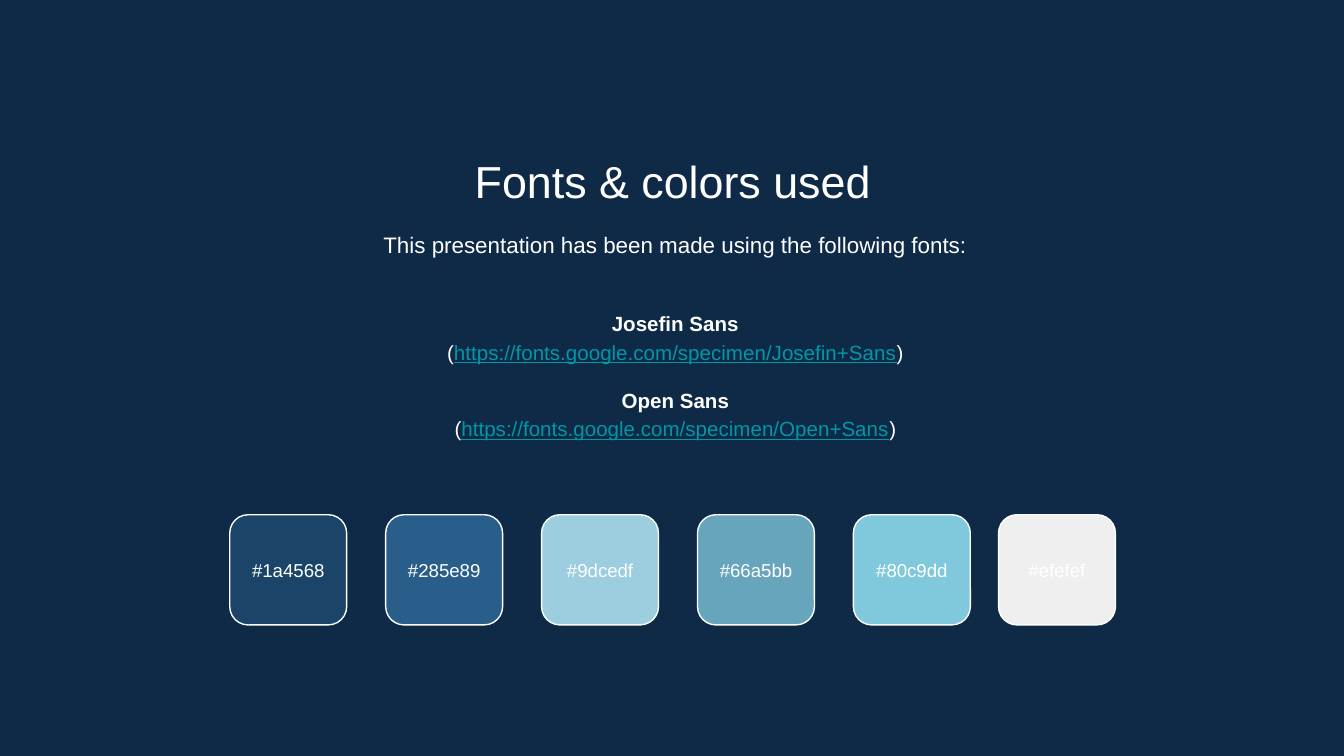
from dataclasses import dataclass

from pptx import Presentation
from pptx.dml.color import RGBColor
from pptx.enum.shapes import MSO_SHAPE as SHAPE
from pptx.enum.text import MSO_ANCHOR as ANCHOR, MSO_AUTO_SIZE as AUTO, PP_ALIGN as ALIGN
from pptx.util import Inches, Pt


@dataclass(frozen=True)
class Theme:
    font: str = "Arial"
    background: str = "0E2A47"
    text: str = "FFFFFF"
    link: str = "0097A7"
    title_size: float = 24
    intro_size: float = 12
    font_list_size: float = 11
    label_size: float = 10


THEME = Theme()
FONTS = ["Josefin Sans", "Open Sans"]
SWATCHES = ["1a4568", "285e89", "9dcedf", "66a5bb", "80c9dd", "efefef"]


def rgb(value):
    return RGBColor.from_string(value.upper())


def set_frame(tf, anchor):
    tf.word_wrap = True
    tf.auto_size = AUTO.NONE
    tf.vertical_anchor = anchor
    tf.margin_left = tf.margin_right = tf.margin_top = tf.margin_bottom = Inches(0.1)


def style(p, size, bold=False, spacing=1.0):
    p.alignment = ALIGN.CENTER
    p.line_spacing = spacing
    p.font.name = THEME.font
    p.font.size = Pt(size)
    p.font.bold = bold
    p.font.color.rgb = rgb(THEME.text)


def add_text(slide, box, text, size, anchor=ANCHOR.TOP, spacing=1.0):
    tf = slide.shapes.add_textbox(*map(Inches, box)).text_frame
    set_frame(tf, anchor)
    p = tf.paragraphs[0]
    p.text = text
    style(p, size, spacing=spacing)


def add_title(slide, box, text):
    title = slide.shapes.title
    title.left, title.top, title.width, title.height = map(Inches, box)
    set_frame(title.text_frame, ANCHOR.TOP)
    p = title.text_frame.paragraphs[0]
    p.text = text
    style(p, THEME.title_size)


def add_font_list(slide, box, fonts):
    tf = slide.shapes.add_textbox(*map(Inches, box)).text_frame
    set_frame(tf, ANCHOR.MIDDLE)
    for i, name in enumerate(fonts):
        # Font name
        p = tf.add_paragraph() if i else tf.paragraphs[0]
        p.text = name
        style(p, THEME.font_list_size, bold=True, spacing=1.15)
        if i:
            p.space_before = Pt(10.8)

        # Address in brackets
        p = tf.add_paragraph()
        style(p, THEME.font_list_size, spacing=1.15)
        address = "https://fonts.google.com/specimen/" + name.replace(" ", "+")
        for part in ("(", address, ")"):
            r = p.add_run()
            r.text = part
            if part == address:
                r.font.underline = True
                r.font.color.rgb = rgb(THEME.link)


def add_swatch(slide, box, color):
    x, y, w, h = box
    sp = slide.shapes.add_shape(SHAPE.ROUNDED_RECTANGLE, *map(Inches, box))
    sp.shadow.inherit = False
    sp.fill.solid()
    sp.fill.fore_color.rgb = rgb(color)
    sp.line.color.rgb = rgb(THEME.text)
    sp.line.width = Pt(0.75)
    add_text(slide, (x, y + 0.17, w, 0.48), "#" + color, THEME.label_size, ANCHOR.MIDDLE)


def add_palette(slide, box, colors):
    left, top, width, height = box
    swatch_width, step = 0.87, 1.16
    for i, color in enumerate(colors):
        # The last swatch is flush with the right edge
        last = i == len(colors) - 1
        x = left + width - swatch_width if last else left + i * step
        add_swatch(slide, (x, top, swatch_width, height), color)


def main():
    # Widescreen page, 16:9
    prs = Presentation()
    prs.slide_width = Inches(10)
    prs.slide_height = prs.slide_width * 9 // 16
    slide = prs.slides.add_slide(prs.slide_layouts[5])
    slide.background.fill.solid()
    slide.background.fill.fore_color.rgb = rgb(THEME.background)

    add_title(slide, (1.15, 1.04, 7.71, 0.53), "Fonts & colors used")
    add_text(slide, (1.17, 1.59, 7.71, 0.48),
             "This presentation has been made using the following fonts:",
             THEME.intro_size, spacing=1.15)
    add_font_list(slide, (1.17, 2.1, 7.71, 1.37), FONTS)
    add_palette(slide, (1.71, 3.83, 6.59, 0.82), SWATCHES)

    prs.save("out.pptx")


if __name__ == "__main__":
    main()
